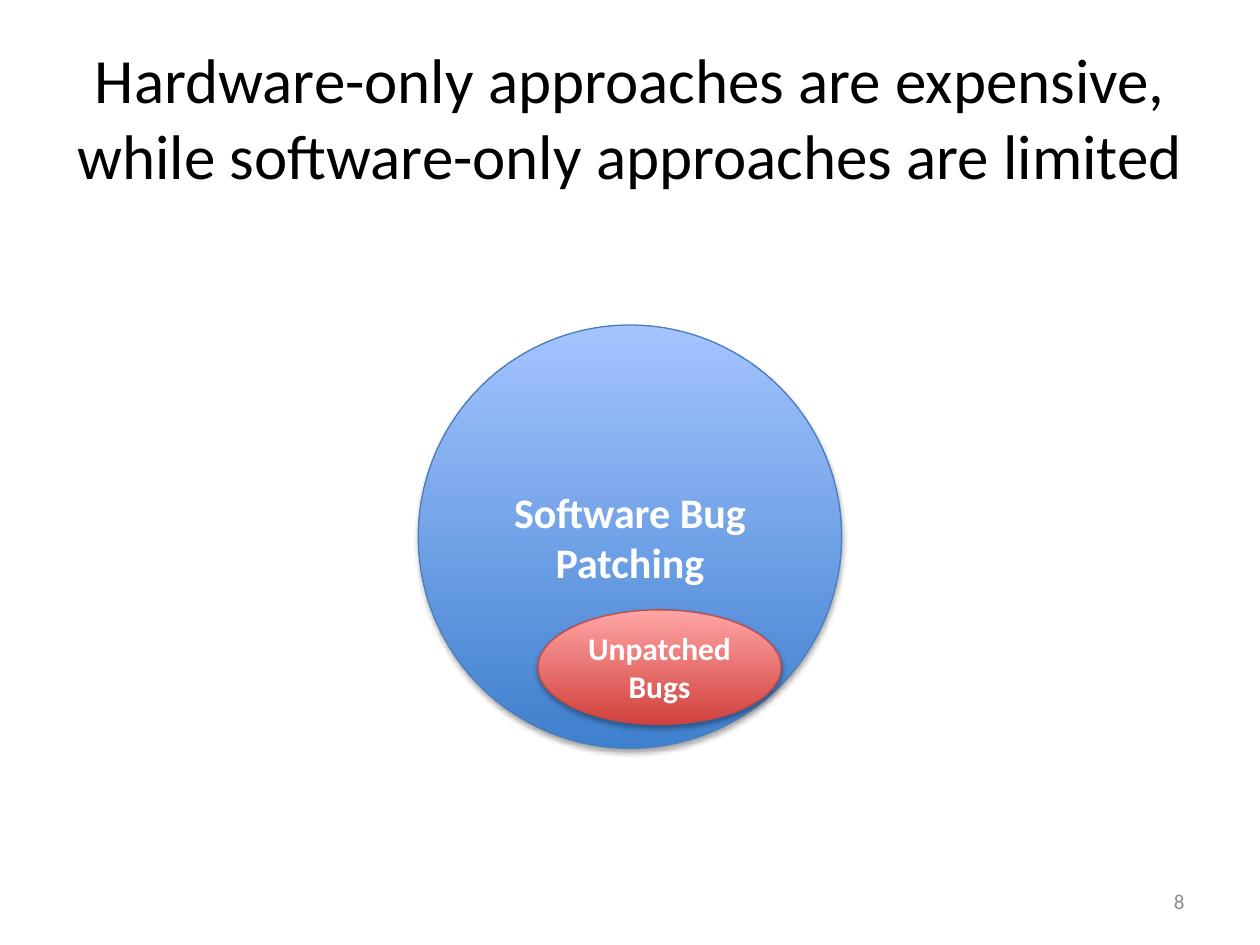
"""Build a slide on the limits of hardware-only and software-only approaches."""
from lxml import etree
from pptx import Presentation
from pptx.dml.color import RGBColor
from pptx.enum.shapes import MSO_SHAPE
from pptx.enum.text import MSO_ANCHOR, MSO_AUTO_SIZE, PP_ALIGN
from pptx.oxml.ns import qn
from pptx.util import Inches, Pt

OVAL = MSO_SHAPE.OVAL
MIDDLE = MSO_ANCHOR.MIDDLE
FIXED = MSO_AUTO_SIZE.NONE
CENTER, RIGHT = PP_ALIGN.CENTER, PP_ALIGN.RIGHT

WIDE, HIGH = 10, 7.5
FONT = "Calibri"
COLORS = {
    "black": "000000", "white": "FFFFFF", "gray": "8C8C8C",
    "blue": "3F80CE", "sky": "A4C4FF", "navy": "4B7EBC",
    "red": "D1403C", "pink": "FFA6A5", "brick": "BF4C48",
}
TITLE = "Hardware-only approaches are expensive, while software-only approaches are limited"
NUMBER = "8"
OVALS = [
    {"lines": ["Software Bug Patching"], "size": 24, "box": (3.32, 2.58, 3.36, 3.36),
     "fill": ("blue", "sky"), "edge": "navy"},
    {"lines": ["Unpatched", "Bugs"], "size": 18, "box": (4.27, 4.84, 1.93, 0.91),
     "fill": ("red", "pink"), "edge": "brick"},
]


def color(name):
    return RGBColor.from_string(COLORS[name])


def place(box):
    return [Inches(side) for side in box]


def write(shape, lines, size, tint, align=CENTER, bold=False):
    frame = shape.text_frame
    frame.word_wrap = True
    frame.auto_size = FIXED
    frame.vertical_anchor = MIDDLE
    for i, line in enumerate(lines):
        para = frame.add_paragraph() if i else frame.paragraphs[0]
        para.alignment = align
        run = para.add_run()
        run.text = line
        font = run.font
        font.name, font.size, font.bold = FONT, Pt(size), bold
        font.color.rgb = color(tint)


def shade(shape):
    shape.shadow.inherit = False
    effects = shape._element.spPr.find(qn("a:effectLst"))
    outer = etree.SubElement(effects, qn("a:outerShdw"), blurRad=str(Pt(3.1)),
                             dist=str(Pt(1.8)), dir="5400000", rotWithShape="0")
    tone = etree.SubElement(outer, qn("a:srgbClr"), val=COLORS["black"])
    etree.SubElement(tone, qn("a:alpha"), val="35000")


def draw(slide, item):
    shape = slide.shapes.add_shape(OVAL, *place(item["box"]))
    shape.fill.gradient()
    shape.fill.gradient_angle = 90
    for stop, name in zip(shape.fill.gradient_stops, item["fill"]):
        stop.color.rgb = color(name)
    shape.line.color.rgb = color(item["edge"])
    shape.line.width = Pt(0.75)
    shade(shape)
    write(shape, item["lines"], item["size"], "white", bold=True)


def main():
    deck = Presentation()
    deck.slide_width, deck.slide_height = Inches(WIDE), Inches(HIGH)
    slide = deck.slides.add_slide(deck.slide_layouts[5])
    title = slide.shapes.title
    title.left, title.top, title.width, title.height = place(
        (WIDE * 0.05, HIGH * 0.04, WIDE * 0.9, 1.25))
    write(title, [TITLE], 36, "black")
    page = slide.shapes.add_textbox(*place((7.17, 6.95, 2.33, 0.4)))
    write(page, [NUMBER], 12, "gray", RIGHT)
    for item in OVALS:
        draw(slide, item)
    deck.save("out.pptx")


if __name__ == "__main__":
    main()
